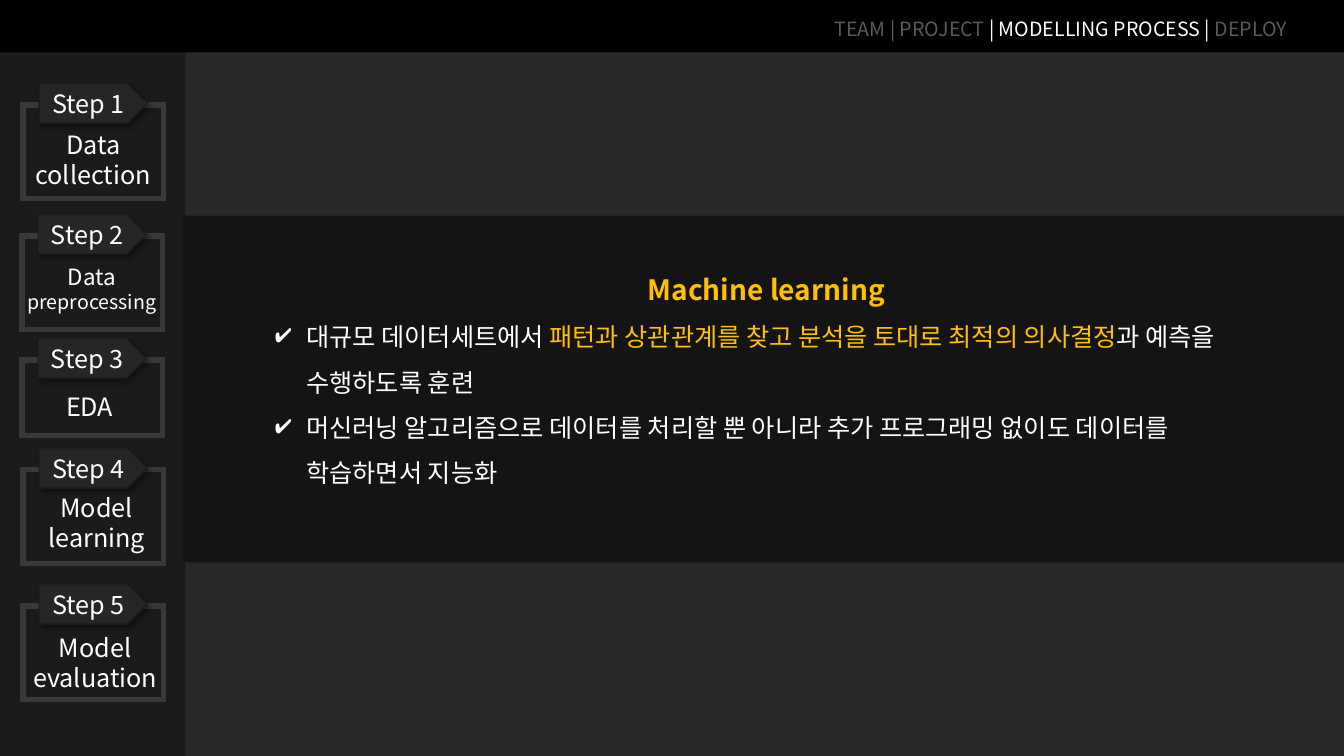
import pptx
import pptx.util
import pptx.dml.color
import pptx.enum.shapes
import pptx.enum.text
import pptx.oxml
import pptx.oxml.ns
from pptx.util import Inches

# Content
HEADING = "Machine learning"
BULLETS = [
    [("대규모 데이터세트에서 ", "white"),
     ("패턴과 상관관계를 찾고 분석을 토대로 최적의 의사결정", "gold"),
     ("과 예측을 수행하도록 훈련", "white")],
    [("머신러닝 알고리즘으로 데이터를 처리할 뿐 아니라 추가 프로그래밍 없이도 "
      "데이터를 학습하면서 지능화", "white")],
]
NAVIGATION = [("TEAM | PROJECT ", "muted"), ("| MODELLING PROCESS | ", "white"),
              ("DEPLOY", "muted")]
# Frame: left, top, height; label: lines with their sizes, then its place
STEPS = [
    {"frame": (0.23, 1.04, 0.93), "label": [("Data collection", "step")],
     "place": (0.16, 1.23, 1.53, 0.71)},
    {"frame": (0.22, 2.34, 0.93),
     "label": [("Data", "compact"), ("preprocessing", "small")],
     "place": (0.09, 2.56, 1.64, 0.61)},
    {"frame": (0.22, 3.57, 0.75), "label": [("EDA", "step")],
     "place": (0.46, 3.83, 0.86, 0.4)},
    {"frame": (0.23, 4.66, 0.93), "label": [("Model", "step"), ("learning", "step")],
     "place": (0.31, 4.83, 1.3, 0.71)},
    {"frame": (0.23, 6.01, 0.93), "label": [("Model", "step"), ("evaluation", "step")],
     "place": (0.16, 6.22, 1.57, 0.71)},
]

THEME = {
    "font": "Noto Sans CJK KR",
    "colors": {"background": "2A2929", "black": "000000", "sidebar": "181717",
               "frame": "3B3838", "tag": "262626", "tag_edge": "1F1E1E",
               "white": "FFFFFF", "gold": "FFC000", "muted": "595959"},
    "sizes": {"heading": 20, "body": 18, "step": 18, "compact": 16, "small": 14},
}
SHAPES = pptx.enum.shapes.MSO_SHAPE
CENTER = pptx.enum.text.PP_ALIGN.CENTER
MIDDLE = pptx.enum.text.MSO_ANCHOR.MIDDLE
TOP = pptx.enum.text.MSO_ANCHOR.TOP
NAMESPACE = pptx.oxml.ns.nsdecls("a")


def color(name):
    return pptx.dml.color.RGBColor.from_string(THEME["colors"][name])


def add_xml(parent, markup):
    """Append a drawing element, given without its namespace."""
    head, rest = markup.split(">", 1)
    slash = "/" if head.endswith("/") else ""
    parent.append(pptx.oxml.parse_xml(f"{head.rstrip('/')} {NAMESPACE}{slash}>{rest}"))


def set_format(target, values):
    for name, value in values.items():
        setattr(target, name, value)


def add_span(para, text, tone, size, bold=False):
    span = para.add_run()
    span.text = text
    set_format(span.font, {"name": THEME["font"], "bold": bold,
                           "size": pptx.util.Pt(THEME["sizes"][size])})
    span.font.color.rgb = color(tone)
    add_xml(span.font._element, f'<a:ea typeface="{THEME["font"]}"/>')


def next_para(frame, index):
    return frame.add_paragraph() if index else frame.paragraphs[0]


def add_block(shapes, kind, place, fill=None, line=None, width=1, opacity=None):
    block = shapes.add_shape(kind, *map(Inches, place))
    block.shadow.inherit = False
    if fill:
        block.fill.solid()
        block.fill.fore_color.rgb = color(fill)
    else:
        block.fill.background()
    if opacity:
        tint = block.element.spPr.find(".//" + pptx.oxml.ns.qn("a:srgbClr"))
        add_xml(tint, f'<a:alpha val="{opacity * 1000}"/>')
    if line:
        block.line.color.rgb = color(line)
        block.line.width = pptx.util.Pt(width)
        add_xml(block.line._get_or_add_ln(), '<a:miter lim="800000"/>')
    else:
        block.line.fill.background()
    return block


def add_text(shapes, place):
    box = shapes.add_textbox(*map(Inches, place))
    box.text_frame.word_wrap = True
    return box.text_frame


def add_step(slide, number, step):
    shapes = slide.shapes.add_group_shape().shapes
    left, top, height = step["frame"]
    add_block(shapes, SHAPES.RECTANGLE, (left, top, 1.39, height), line="frame", width=4)
    tag = add_block(shapes, SHAPES.PENTAGON, (left + 0.16, top - 0.21, 1.07, 0.39),
                    fill="tag", line="tag_edge")
    effects = tag.element.spPr.find(pptx.oxml.ns.qn("a:effectLst"))
    add_xml(effects, '<a:outerShdw blurRad="50800" dist="38100" dir="2700000" algn="tl" '
                     'rotWithShape="0"><a:srgbClr val="000000"><a:alpha val="40000"/>'
                     '</a:srgbClr></a:outerShdw>')
    tag.text_frame.vertical_anchor = MIDDLE
    para = tag.text_frame.paragraphs[0]
    para.alignment = CENTER
    add_span(para, f"Step {number}", "white", "step")
    frame = add_text(shapes, step["place"])
    for index, (text, size) in enumerate(step["label"]):
        para = next_para(frame, index)
        para.alignment = CENTER
        add_span(para, text, "white", size)


def add_main(slide):
    # Dark band, placed behind the heading
    band = add_block(slide.shapes, SHAPES.RECTANGLE, (1.81, 2.14, 11.52, 3.44),
                     fill="black", opacity=50)
    title = slide.shapes.title
    title.element.addprevious(band.element)

    # Heading
    set_format(title, {"left": Inches(2.63), "top": Inches(2.49),
                       "width": Inches(9.94), "height": Inches(0.6)})
    set_format(title.text_frame, {"vertical_anchor": TOP, "word_wrap": True,
                                  "auto_size": pptx.enum.text.MSO_AUTO_SIZE.NONE})
    para = title.text_frame.paragraphs[0]
    set_format(para, {"alignment": CENTER, "line_spacing": 1.5,
                      "space_before": pptx.util.Pt(0)})
    add_span(para, HEADING, "gold", "heading", bold=True)

    # Check-marked points
    frame = add_text(slide.shapes, (2.63, 2.99, 9.94, 1.92))
    for index, spans in enumerate(BULLETS):
        para = next_para(frame, index)
        para.line_spacing = 1.5
        properties = para._p.get_or_add_pPr()
        properties.set("marL", str(Inches(0.31)))
        properties.set("indent", str(-Inches(0.31)))
        add_xml(properties, '<a:buClr><a:srgbClr val="FFFFFF"/></a:buClr>')
        add_xml(properties, '<a:buChar char="✔"/>')
        for text, tone in spans:
            add_span(para, text, tone, "body")


def main():
    deck = pptx.Presentation()
    deck.slide_width, deck.slide_height = Inches(13.33), Inches(7.5)
    slide = deck.slides.add_slide(deck.slide_layouts[5])
    slide.background.fill.solid()
    slide.background.fill.fore_color.rgb = color("background")

    add_main(slide)

    # Sidebar with the process steps
    add_block(slide.shapes, SHAPES.RECTANGLE, (0, 0, 1.84, 7.5), fill="sidebar", opacity=75)
    for number, step in enumerate(STEPS, 1):
        add_step(slide, number, step)

    # Navigation bar
    add_block(slide.shapes, SHAPES.RECTANGLE, (0, 0, 13.33, 0.52), fill="black")
    para = add_text(slide.shapes, (8.18, 0.12, 5.15, 0.34)).paragraphs[0]
    for text, tone in NAVIGATION:
        add_span(para, text, tone, "small")

    deck.save("out.pptx")


if __name__ == "__main__":
    main()
